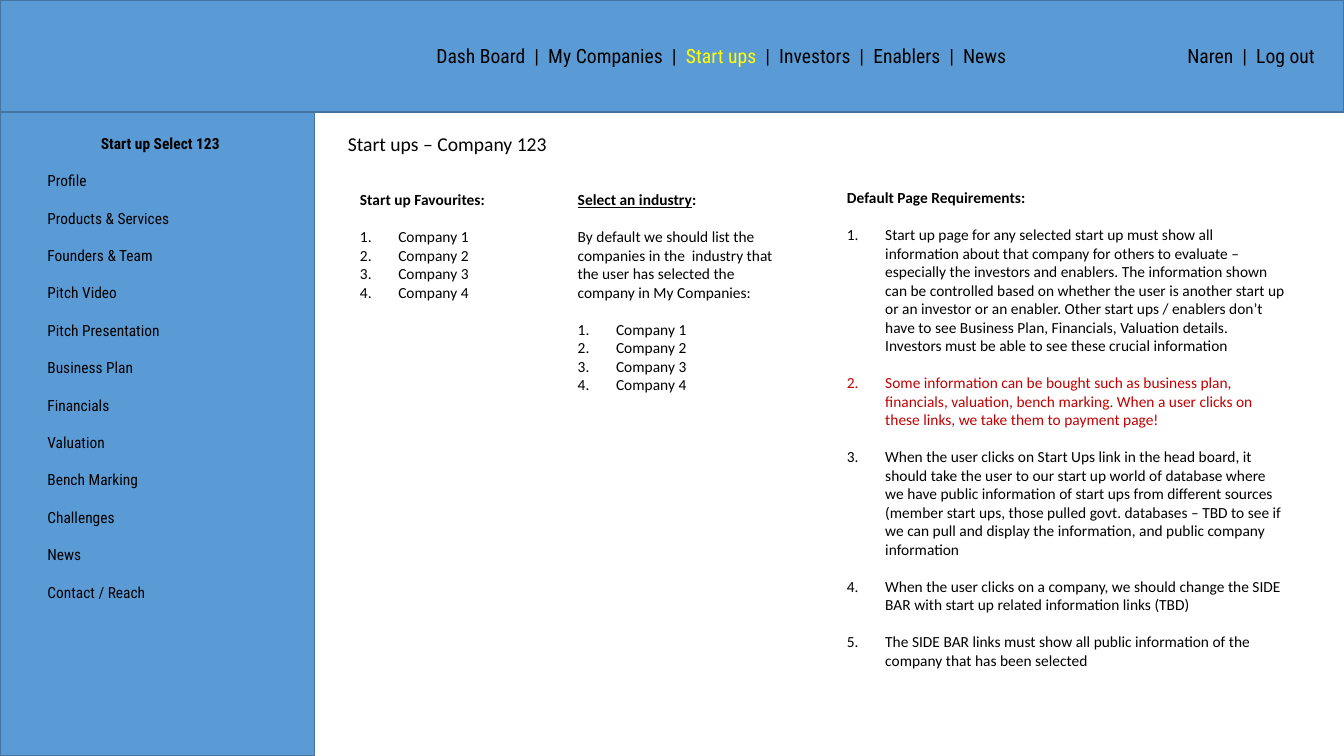
from lxml import etree
from pptx import Presentation
from pptx import util as u
from pptx.dml.color import RGBColor
from pptx.enum import shapes, text
from pptx.oxml.ns import qn

BLACK, RED, YELLOW = "000000", "C00000", "FFFF00"
BLUE, BLUE_EDGE = "5B9BD5", "43739E"
CONDENSED, BODY = "Roboto Condensed", "Calibri"
GAP = 13.2  # one empty 11 pt line


def place(box, left, top, width, height, wrap=True):
    box.left, box.top, box.width, box.height = map(u.Inches, (left, top, width, height))
    frame = box.text_frame
    frame.word_wrap = wrap
    frame.auto_size = text.MSO_AUTO_SIZE.NONE
    frame.vertical_anchor = text.MSO_ANCHOR.TOP
    return frame


def style(line, size, face, color=BLACK, bold=False, align="LEFT", before=0, numbered=False):
    props = line._p.get_or_add_pPr()
    indent = u.Inches(0.38) if numbered else 0
    props.set("marL", str(indent))
    props.set("indent", str(-indent))
    if numbered:
        etree.SubElement(props, qn("a:buFont"), typeface="+mj-lt")
        etree.SubElement(props, qn("a:buAutoNum"), type="arabicPeriod")
    else:
        etree.SubElement(props, qn("a:buNone"))
    line.alignment = getattr(text.PP_ALIGN, align)
    line.space_before = u.Pt(before)
    line.space_after = u.Pt(0)
    for run in line.runs:
        run.font.size = u.Pt(size)
        run.font.name = face
        run.font.bold = bold
        run.font.color.rgb = RGBColor.from_string(color)


prs = Presentation()
prs.slide_width, prs.slide_height = u.Inches(13.33), u.Inches(7.5)
slide = prs.slides.add_slide(prs.slide_layouts[4])
title, sidebar, requirements, favourites, industry = slide.placeholders

# Side bar and head board panels, behind the text
for layer, (width, height) in enumerate([(3.12, 7.5), (13.33, 1.11)]):
    panel = slide.shapes.add_shape(shapes.MSO_SHAPE.RECTANGLE, 0, 0, u.Inches(width), u.Inches(height))
    panel.shadow.inherit = False
    panel.fill.solid()
    panel.fill.fore_color.rgb = RGBColor.from_string(BLUE)
    panel.line.color.rgb = RGBColor.from_string(BLUE_EDGE)
    panel.line.width = u.Pt(1)
    slide.shapes._spTree.insert(2 + layer, panel._element)

# Head board links
navigation = place(slide.shapes.add_textbox(0, 0, 0, 0), 4.23, 0.39, 6.43, 0.34).paragraphs[0]
for part in ("Dash Board  |  My Companies  |  ", "Start ups  ", "|  Investors  |  Enablers  |  News"):
    navigation.add_run().text = part
style(navigation, 14, CONDENSED)
navigation.runs[1].font.color.rgb = RGBColor.from_string(YELLOW)

account = place(slide.shapes.add_textbox(0, 0, 0, 0), 11.32, 0.39, 1.82, 0.34).paragraphs[0]
account.text = "Naren  |  Log out"
style(account, 14, CONDENSED, align="RIGHT")

# Page title
heading = place(title, 3.35, 1.26, 2.19, 0.34, wrap=False).paragraphs[0]
heading.text = "Start ups – Company 123"
style(heading, 14, BODY)

# Side bar links
frame = place(sidebar, 0.37, 1.28, 2.44, 4.91)
frame.text = "\n".join([
    "Start up Select 123", "Profile", "Products & Services", "Founders & Team", "Pitch Video",
    "Pitch Presentation", "Business Plan", "Financials", "Valuation", "Bench Marking",
    "Challenges", "News", "Contact / Reach"])
for number, line in enumerate(frame.paragraphs):
    if number == 0:
        style(line, 11, CONDENSED, bold=True, align="CENTER")
    else:
        style(line, 11, CONDENSED, before=13.5)

# Requirements
frame = place(requirements, 8.3, 1.82, 4.57, 4.91)
frame.text = "\n".join([
    "Default Page Requirements:",
    "Start up page for any selected start up must show all information about that company for "
    "others to evaluate – especially the investors and enablers. The information shown can be "
    "controlled based on whether the user is another start up or an investor or an enabler. "
    "Other start ups / enablers don’t have to see Business Plan, Financials, Valuation details. "
    "Investors must be able to see these crucial information",
    "Some information can be bought such as business plan, financials, valuation, bench marking. "
    "When a user clicks on these links, we take them to payment page!",
    "When the user clicks on Start Ups link in the head board, it should take the user to our "
    "start up world of database where we have public information of start ups from different "
    "sources (member start ups, those pulled govt. databases – TBD to see if we can pull and "
    "display the information, and public company information",
    "When the user clicks on a company, we should change the SIDE BAR with start up related "
    "information links (TBD)",
    "The SIDE BAR links must show all public information of the company that has been selected"])
for number, line in enumerate(frame.paragraphs):
    if number == 0:
        style(line, 11, BODY, bold=True)
    else:
        style(line, 11, BODY, RED if number == 2 else BLACK, before=GAP, numbered=True)

# Company lists: heading, optional introduction, numbered companies
companies = [f"Company {number}" for number in range(1, 5)]
introduction = ("By default we should list the companies in the  industry that the user has "
                "selected the company in My Companies:")
for column, left, height, opening in [
        (favourites, 3.47, 1.21, ["Start up Favourites:"]),
        (industry, 5.63, 2.14, ["Select an industry", introduction])]:
    frame = place(column, left, 1.84, 2.16, height)
    frame.text = "\n".join(opening + companies)
    if column is industry:
        frame.paragraphs[0].runs[0].font.underline = True
        frame.paragraphs[0].add_run().text = ":"
    for number, line in enumerate(frame.paragraphs):
        style(line, 11, BODY, bold=number == 0,
              before=GAP if 0 < number <= len(opening) else 0,
              numbered=number >= len(opening))

prs.save("out.pptx")
